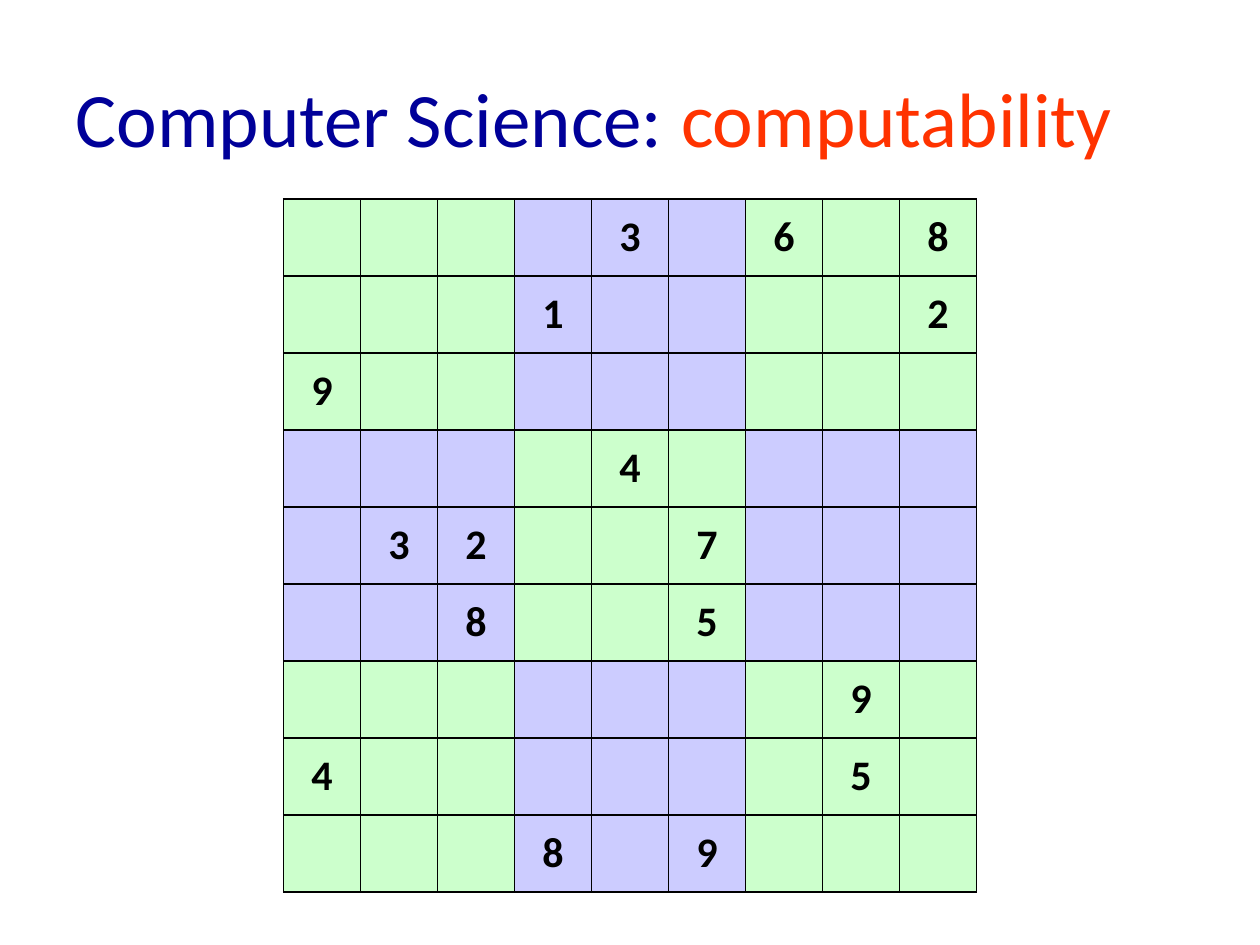
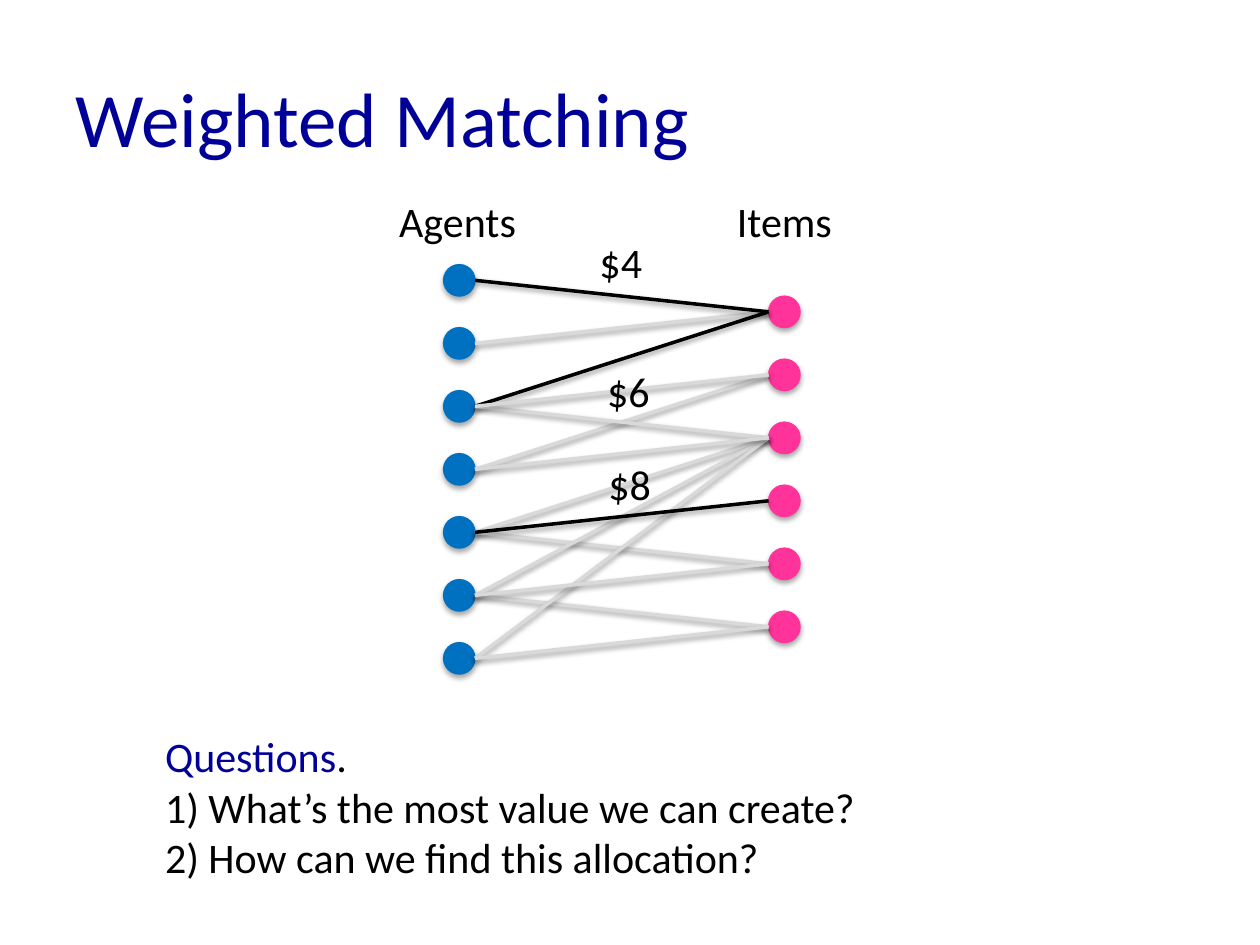
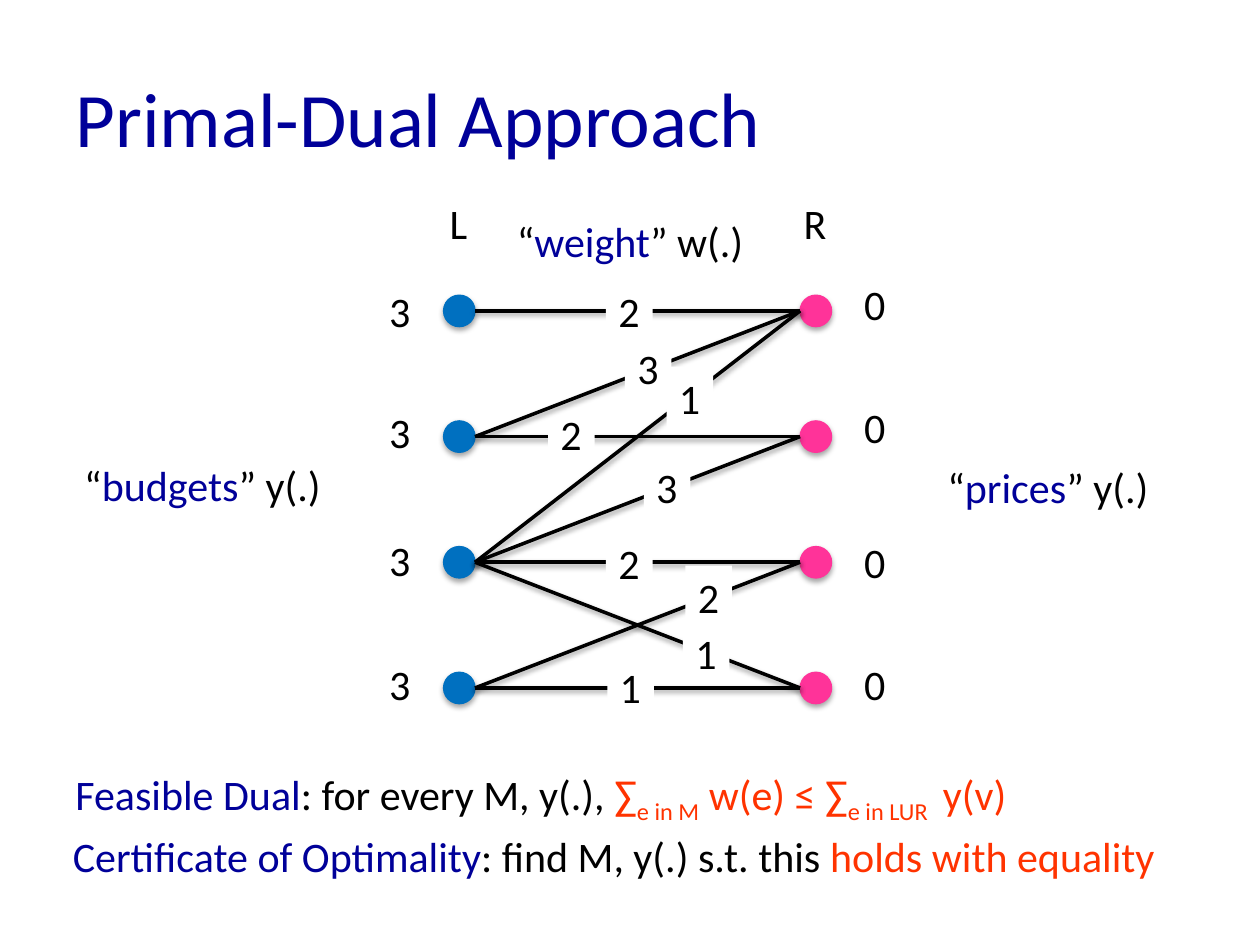
from dataclasses import dataclass

from pptx import Presentation
from pptx.dml.color import RGBColor as RGB
from pptx.enum.shapes import MSO_CONNECTOR as Link, MSO_SHAPE as Form
from pptx.enum.text import MSO_ANCHOR as Anchor, MSO_AUTO_SIZE as Fit, PP_ALIGN as Align
from pptx.oxml import parse_xml
from pptx.oxml.ns import nsdecls
from pptx.util import Inches, Pt


@dataclass(frozen=True)
class Theme:
    font: str = "Calibri"
    head: int = 44
    body: int = 24
    edge: int = 2
    rim: float = 0.75
    ink: str = "000000"
    navy: str = "000099"
    red: str = "FF3300"
    blue: str = "0070C0"
    pink: str = "FF3399"
    grey: str = "D9D9D9"
    white: str = "FFFFFF"
    mint: str = "CCFFCC"
    lilac: str = "CCCCFF"


T = Theme()

# The slide is a grid of 40 columns by 30 rows; a dot fills one cell.
COLS, ROWS, UNIT = 40, 30, 0.25
LEFT = 14.58  # column of the left dots' centres
LINE = 2  # height of a one-line text box

PUZZLE = (
    "....3.6.8",
    "...1....2",
    "9........",
    "....4....",
    ".32..7...",
    "..8..5...",
    ".......9.",
    "4......5.",
    "...8.9...",
)


def grid(*cells):
    """Turn grid units into lengths."""
    return [Inches(n * UNIT) for n in cells]


def write(frame, *lines, size=T.body, color=T.ink, bold=False, align=Align.LEFT):
    """Each line is a string or a list of (text, colour[, baseline])."""
    for i, line in enumerate(lines):
        para = frame.paragraphs[0] if i == 0 else frame.add_paragraph()
        para.alignment = align
        for text, tint, *base in [(line, color)] if isinstance(line, str) else line:
            run = para.add_run()
            run.text = text
            font = run.font
            font.name, font.size, font.bold = T.font, Pt(size), bold
            font.color.rgb = RGB.from_string(tint)
            if base:
                run._r.get_or_add_rPr().set("baseline", str(base[0] * 1000))


def place(shape, at):
    shape.left, shape.top, shape.width, shape.height = grid(*at)


def paint(shape, color):
    shape.fill.solid()
    shape.fill.fore_color.rgb = RGB.from_string(color)


def shade(shape, alpha, dist):
    """Add a soft shadow that falls straight down."""
    shape._element.spPr.append(parse_xml(
        f'<a:effectLst {nsdecls("a")}><a:outerShdw blurRad="{Pt(3.1)}" '
        f'dist="{Pt(dist)}" dir="5400000" rotWithShape="0">'
        f'<a:srgbClr val="{T.ink}"><a:alpha val="{alpha * 1000}"/></a:srgbClr>'
        f'</a:outerShdw></a:effectLst>'))


def label(shapes, at, *lines, fill=None, wrap=False, **style):
    box = shapes.add_textbox(*grid(*at))
    box.text_frame.word_wrap = wrap
    box.text_frame.auto_size = Fit.SHAPE_TO_FIT_TEXT
    if fill:
        paint(box, fill)
    write(box.text_frame, *lines, **style)


def dots(shapes, x, ys, color):
    for y in ys:
        dot = shapes.add_shape(Form.OVAL, *grid(x - 0.5, y - 0.5, 1, 1))
        paint(dot, color)
        dot.line.color.rgb = RGB.from_string(color)
        dot.line.width = Pt(T.rim)
        shade(dot, 35, 1.8)


def edge(shapes, x, y, color=T.ink):
    """Join the left dot at (LEFT, y[0]) to the right dot at (x, y[1])."""
    line = shapes.add_connector(Link.STRAIGHT, *grid(LEFT + 0.5, y[0], x - 0.5, y[1]))
    line.line.color.rgb = RGB.from_string(color)
    line.line.width = Pt(T.edge)
    shade(line, 38, 1.6)


def steps(top, gap, count):
    return [top + gap * i for i in range(count)]


def start(deck, *title, layout=5):
    """Add a slide with the shared title style."""
    slide = deck.slides.add_slide(deck.slide_layouts[layout])
    head = slide.shapes.title
    place(head, (2, 1.2, 36, 5))
    head.text_frame.vertical_anchor = Anchor.MIDDLE
    write(head.text_frame, *title, size=T.head, color=T.navy)
    return slide


def frame(cell):
    """Draw a thin line on every side of a table cell."""
    props = cell._tc.get_or_add_tcPr()
    for side in "LRTB":
        props.append(parse_xml(
            f'<a:ln{side} {nsdecls("a")} w="{Pt(1)}"><a:solidFill>'
            f'<a:srgbClr val="{T.ink}"/></a:solidFill></a:ln{side}>'))


def sudoku(deck):
    slide = start(deck, [("Computer Science: ", T.navy), ("computability", T.red)])
    count = len(PUZZLE)
    table = slide.shapes.add_table(count, count, *grid(9, 6.32, 22, 22)).table
    table.first_row = table.horz_banding = False
    for r, row in enumerate(PUZZLE):
        for c, digit in enumerate(row):
            cell = table.cell(r, c)
            frame(cell)
            paint(cell, T.lilac if (r // 3 + c // 3) % 2 else T.mint)
            cell.margin_left = cell.margin_right = 0
            cell.margin_top = cell.margin_bottom = 0
            cell.vertical_anchor = Anchor.MIDDLE
            if digit != ".":
                write(cell.text_frame, digit, bold=True, align=Align.CENTER)


def match(deck):
    slide = start(deck, "Weighted Matching", layout=1)

    # Questions
    body = slide.placeholders[1]
    place(body, (4.84, 23, 22.92, 5.24))
    text = body.text_frame
    text.word_wrap, text.auto_size = False, Fit.NONE
    write(text, [("Questions", T.navy), (".", T.ink)],
          "1) What’s the most value we can create?",
          "2) How can we find this allocation?")
    for para in text.paragraphs:
        props = para._p.get_or_add_pPr()
        props.set("marL", "0")
        props.set("indent", "0")
        props.append(parse_xml(f'<a:buNone {nsdecls("a")}/>'))
        para.space_before = Pt(0)

    # Graph of agents and items
    shapes = slide.shapes.add_group_shape().shapes
    right = 24.9
    agents, items = steps(8.9, 2, 7), steps(9.9, 2, 6)
    dots(shapes, LEFT, agents, T.blue)
    dots(shapes, right, items, T.pink)
    priced = {(0, 0), (2, 0), (4, 3)}
    for a, b in ((1, 0), (2, 0), (4, 2), (5, 5), (3, 1), (4, 4), (5, 2), (6, 2),
                 (2, 2), (0, 0), (3, 2), (5, 4), (6, 5), (4, 3), (2, 1)):
        edge(shapes, right, (agents[a], items[b]),
             T.ink if (a, b) in priced else T.grey)
    for name, x, y, w in (("Agents", 12.28, 6, 4.56), ("Items", 23, 6, 3.84),
                          ("$4", 18.64, 7.32, 2.16), ("$8", 18.92, 14.36, 2.16),
                          ("$6", 18.88, 11.4, 2.16)):
        label(shapes, (x, y, w, LINE), name)


def dual(deck):
    slide = start(deck, "Primal-Dual Approach")
    shapes = slide.shapes
    right, ys, wide = 25.9, steps(9.87, 3.99, 4), 1.48

    def weigh(value, x, y):
        label(shapes, (x, y, wide, LINE), value, fill=T.white)

    # The second row's edge lies under the crossing edges
    edge(shapes, right, (ys[1], ys[1]))
    weigh("2", 17.4, 12.76)
    dots(shapes, LEFT, ys, T.blue)
    dots(shapes, right, ys, T.pink)
    for a, b in ((1, 0), (2, 0), (2, 2), (0, 0), (3, 2), (2, 3), (2, 1), (3, 3)):
        edge(shapes, right, (ys[a], ys[b]))
    for mark in (("2", 19.24, 8.88), ("3", 19.84, 10.68), ("1", 21.16, 11.64),
                 ("3", 20.44, 14.44), ("2", 19.24, 16.88), ("1", 19.28, 20.8),
                 ("2", 21.76, 17.96), ("1", 21.68, 19.72)):
        weigh(*mark)

    # Budgets on the left, prices on the right
    for x, value, tops in ((11.96, "3", (8.88, 12.72, 16.76, 20.72)),
                           (27.04, "0", (8.64, 12.56, 16.84, 20.72))):
        for y in tops:
            label(shapes, (x, y, wide, LINE), value)

    # Names of the parts
    label(shapes, (13.88, 6.08, 1.36, LINE), "L")
    label(shapes, (25.12, 6.08, 1.52, LINE), "R")
    for word, tail, x, y, w in (("budgets", "y", 2.28, 14.4, 8.36),
                                ("prices", "y", 29.68, 14.44, 7.24),
                                ("weight", "w", 15.96, 6.64, 8.08)):
        label(shapes, (x, y, w, LINE),
              [("“", T.ink), (word, T.navy), (f"” {tail}(.)", T.ink)],
              align=Align.CENTER if word == "weight" else Align.LEFT)

    # Conclusions
    label(shapes, (2, 24.2, 36, LINE),
          [("Feasible Dual", T.navy), (": for every M, y(.), ", T.ink),
           ("∑", T.red), ("e in M", T.red, -25), (" w(e) ≤ ∑", T.red),
           ("e in LUR ", T.red, -25), (" y(v)", T.red)], wrap=True)
    label(shapes, (1.92, 26.16, 36, LINE),
          [("Certificate of Optimality", T.navy),
           (": find M, y(.) s.t. this ", T.ink),
           ("holds with equality", T.red)], wrap=True)


def main():
    deck = Presentation()
    deck.slide_width, deck.slide_height = grid(COLS, ROWS)
    for build in (sudoku, match, dual):
        build(deck)
    deck.save("out.pptx")


if __name__ == "__main__":
    main()
